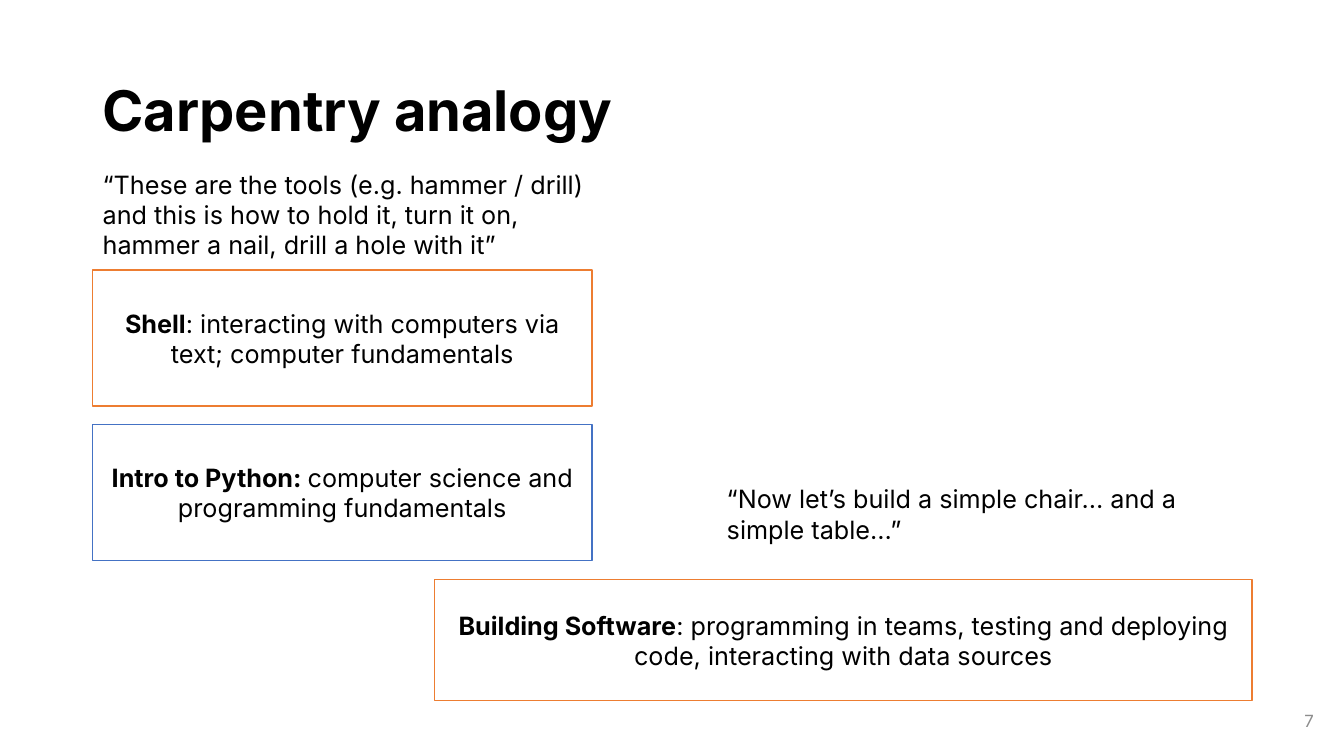
from pptx import Presentation
from pptx.dml.color import RGBColor
from pptx.enum.shapes import MSO_SHAPE
from pptx.enum.text import MSO_ANCHOR, PP_ALIGN
from pptx.util import Pt

PX = 9144  # 100 px to the inch
RECT = MSO_SHAPE.RECTANGLE
TOP, MIDDLE = MSO_ANCHOR.TOP, MSO_ANCHOR.MIDDLE
LEFT, CENTER, RIGHT = PP_ALIGN.LEFT, PP_ALIGN.CENTER, PP_ALIGN.RIGHT

BLACK = RGBColor(0x00, 0x00, 0x00)
WHITE = RGBColor(0xFF, 0xFF, 0xFF)
GRAY = RGBColor(0x8C, 0x8C, 0x8C)
ORANGE = RGBColor(0xED, 0x7D, 0x31)
BLUE = RGBColor(0x44, 0x72, 0xC4)
FONT = "Inter"

TITLE = "Carpentry analogy"
NUMBER = "7"
# (left, top, width, height), text
QUOTES = [
    ((92, 163, 530, 101), "“These are the tools (e.g. hammer / drill) and this is how "
     "to hold it, turn it on, hammer a nail, drill a hole with it”"),
    ((711, 475, 530, 71), "“Now let’s build a simple chair… and a simple table…”"),
]
# (left, top, width, height), line colour, bold name, text
COURSES = [
    ((92, 268, 495, 135), ORANGE, "Shell",
     ": interacting with computers via text; computer fundamentals"),
    ((92, 421, 495, 135), BLUE, "Intro to Python: ",
     "computer science and programming fundamentals"),
    ((431, 575, 811, 120), ORANGE, "Building Software",
     ": programming in teams, testing and deploying code, "
     "interacting with data sources"),
]


def scale(box):
    return [n * PX for n in box]


def write(shape, parts, size=18, color=BLACK, align=LEFT, anchor=TOP):
    """Fill a shape with one paragraph made of (text, bold) parts."""
    frame = shape.text_frame
    frame.word_wrap = True
    frame.vertical_anchor = anchor
    para = frame.paragraphs[0]
    para.alignment = align
    for text, bold in parts:
        run = para.add_run()
        run.text = text
        font = run.font
        font.name, font.size, font.bold = FONT, Pt(size), bold
        font.color.rgb = color
    return para


def add_text(slide, box, text, bold=False, **style):
    return write(slide.shapes.add_textbox(*scale(box)), [(text, bold)], **style)


def add_course(slide, box, color, name, text):
    shape = slide.shapes.add_shape(RECT, *scale(box))
    shape.shadow.inherit = False
    shape.fill.solid()
    shape.fill.fore_color.rgb = WHITE
    shape.line.color.rgb = color
    shape.line.width = Pt(1)
    write(shape, [(name, True), (text, False)], align=CENTER, anchor=MIDDLE)


def main():
    deck = Presentation()
    deck.slide_width, deck.slide_height = scale((1333, 750))
    slide = deck.slides.add_slide(deck.slide_layouts[6])

    title = add_text(slide, (92, 40, 1150, 145), TITLE, bold=True, size=40,
                     anchor=MIDDLE)
    title.line_spacing = 0.9
    add_text(slide, (1013, 695, 300, 40), NUMBER, size=12, color=GRAY,
             align=RIGHT, anchor=MIDDLE)
    for box, text in QUOTES:
        add_text(slide, box, text)
    for course in COURSES:
        add_course(slide, *course)

    deck.save("out.pptx")


if __name__ == "__main__":
    main()
